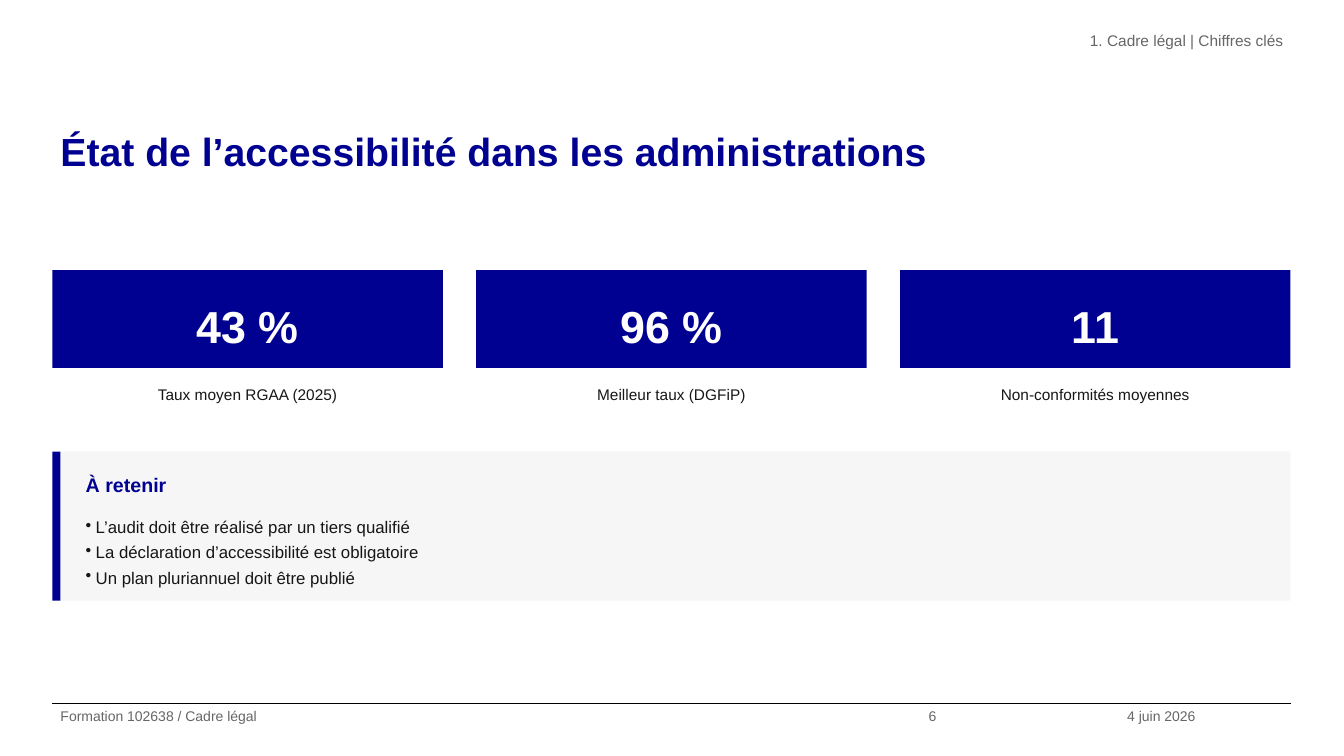
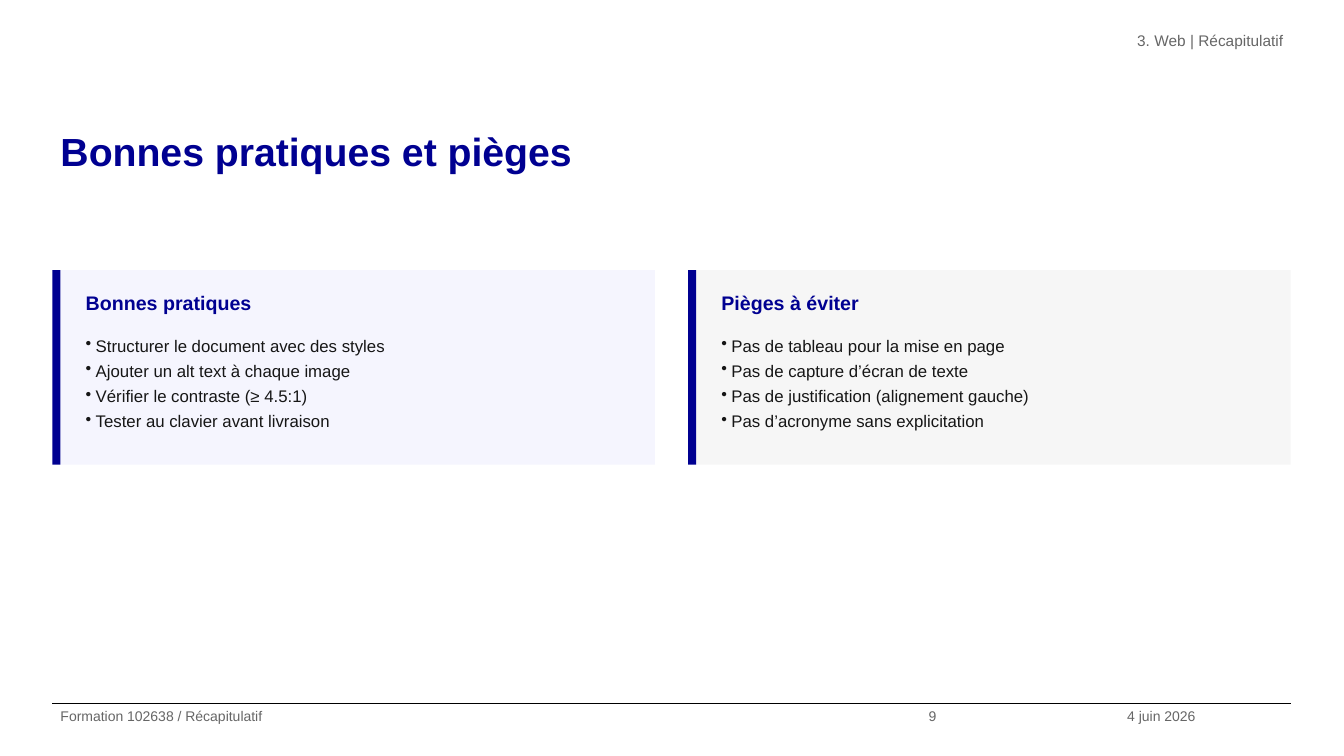
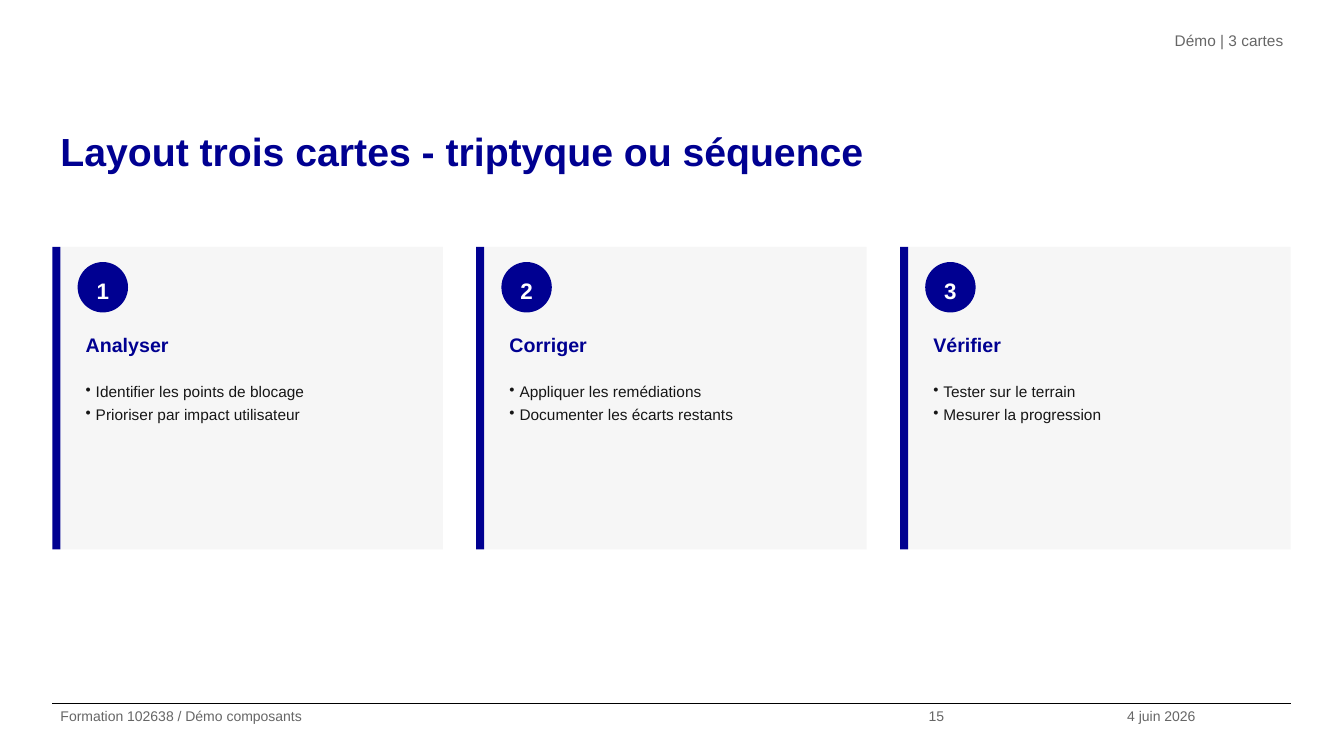
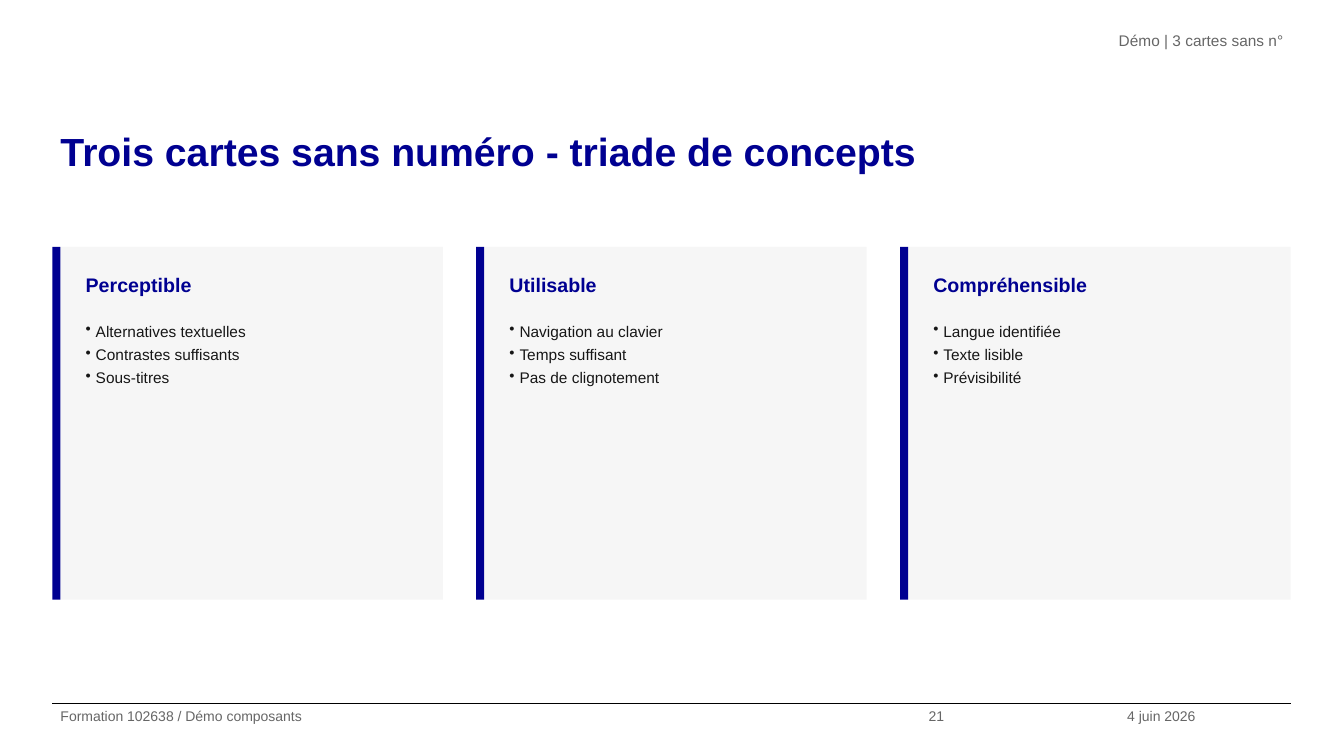
from collections.abc import Sequence
from dataclasses import dataclass

from lxml import etree
from pptx import Presentation
from pptx.dml.color import RGBColor
from pptx.enum.shapes import MSO_CONNECTOR, MSO_SHAPE
from pptx.enum.text import MSO_ANCHOR, PP_ALIGN
from pptx.oxml.ns import qn
from pptx.shapes.autoshape import Shape
from pptx.slide import Slide
from pptx.text.text import _Paragraph as Paragraph
from pptx.util import Inches, Pt

RECTANGLE, OVAL = MSO_SHAPE.RECTANGLE, MSO_SHAPE.OVAL
STRAIGHT = MSO_CONNECTOR.STRAIGHT
TOP, MIDDLE = MSO_ANCHOR.TOP, MSO_ANCHOR.MIDDLE
LEFT, CENTER, RIGHT = PP_ALIGN.LEFT, PP_ALIGN.CENTER, PP_ALIGN.RIGHT

COLORS = {
    "blue": "000091",
    "ink": "161616",
    "muted": "666666",
    "gray": "F6F6F6",
    "pale_blue": "F5F5FE",
    "white": "FFFFFF",
    "black": "000000",
}
FONT = "Arial"
LINE_SPACING = 1.25

CONTENT_LEFT, CONTENT_WIDTH = 0.52, 12.28
GAP = 0.33
FOOTER_TOP, FOOTER_HEIGHT = 6.98, 0.52
DATE = "4 juin 2026"
BAR_WIDTH = 0.08
CARD_INDENT = 0.25
BADGE_SIZE, BADGE_GAP = 0.5, 0.1
BULLET_INDENT = 0.1


@dataclass(frozen=True)
class Box:
    left: float
    top: float
    width: float
    height: float


@dataclass(frozen=True)
class TextStyle:
    size: int
    color: str
    bold: bool = False
    align: PP_ALIGN = LEFT
    bulleted: bool = False


@dataclass(frozen=True)
class CardStyle:
    padding: float
    heading_height: float
    items: TextStyle


@dataclass(frozen=True)
class Card:
    heading: str
    items: tuple[str, ...]
    fill: str = "gray"
    number: str = ""


@dataclass(frozen=True)
class KeyFigure:
    value: str
    label: str


TITLE = TextStyle(28, "blue", bold=True)
BREADCRUMB = TextStyle(11, "muted", align=RIGHT)
FOOTER = TextStyle(10, "muted")
FIGURE_VALUE = TextStyle(32, "white", bold=True, align=CENTER)
FIGURE_LABEL = TextStyle(11, "ink", align=CENTER)
BADGE = TextStyle(16, "white", bold=True, align=CENTER)
CARD_HEADING = TextStyle(14, "blue", bold=True)
WIDE_CARD = CardStyle(0.1, 0.4, TextStyle(12, "ink", bulleted=True))
NARROW_CARD = CardStyle(0.15, 0.45, TextStyle(11, "ink", bulleted=True))

KEY_FIGURES = (
    KeyFigure("43 %", "Taux moyen RGAA (2025)"),
    KeyFigure("96 %", "Meilleur taux (DGFiP)"),
    KeyFigure("11", "Non-conformités moyennes"),
)
TAKEAWAYS = (
    Card("À retenir", (
        "L’audit doit être réalisé par un tiers qualifié",
        "La déclaration d’accessibilité est obligatoire",
        "Un plan pluriannuel doit être publié",
    )),
)
PRACTICES = (
    Card("Bonnes pratiques", (
        "Structurer le document avec des styles",
        "Ajouter un alt text à chaque image",
        "Vérifier le contraste (≥ 4.5:1)",
        "Tester au clavier avant livraison",
    ), fill="pale_blue"),
    Card("Pièges à éviter", (
        "Pas de tableau pour la mise en page",
        "Pas de capture d’écran de texte",
        "Pas de justification (alignement gauche)",
        "Pas d’acronyme sans explicitation",
    )),
)
STEPS = (
    Card("Analyser", (
        "Identifier les points de blocage",
        "Prioriser par impact utilisateur",
    ), number="1"),
    Card("Corriger", (
        "Appliquer les remédiations",
        "Documenter les écarts restants",
    ), number="2"),
    Card("Vérifier", (
        "Tester sur le terrain",
        "Mesurer la progression",
    ), number="3"),
)
CONCEPTS = (
    Card("Perceptible", (
        "Alternatives textuelles", "Contrastes suffisants", "Sous-titres",
    )),
    Card("Utilisable", (
        "Navigation au clavier", "Temps suffisant", "Pas de clignotement",
    )),
    Card("Compréhensible", (
        "Langue identifiée", "Texte lisible", "Prévisibilité",
    )),
)


def rgb(name: str) -> RGBColor:
    return RGBColor.from_string(COLORS[name])


def lengths(box: Box) -> tuple[Inches, ...]:
    return tuple(Inches(v) for v in (box.left, box.top, box.width, box.height))


def columns(count: int, top: float, height: float) -> list[Box]:
    """Split the content width into equal boxes."""
    width = (CONTENT_WIDTH - GAP * (count - 1)) / count
    return [
        Box(CONTENT_LEFT + i * (width + GAP), top, width, height)
        for i in range(count)
    ]


def add_bullet(paragraph: Paragraph) -> None:
    properties = paragraph._p.get_or_add_pPr()
    properties.set("marL", str(Inches(BULLET_INDENT)))
    properties.set("indent", str(-Inches(BULLET_INDENT)))
    etree.SubElement(properties, qn("a:buChar")).set("char", "•")


def write(shape: Shape, lines: Sequence[str], style: TextStyle,
          inset: float = 0.05, anchor: MSO_ANCHOR = TOP) -> None:
    frame = shape.text_frame
    frame.word_wrap = True
    frame.vertical_anchor = anchor
    frame.margin_left = frame.margin_right = Inches(0.08)
    frame.margin_top = frame.margin_bottom = Inches(inset)
    for index, line in enumerate(lines):
        paragraph = frame.add_paragraph() if index else frame.paragraphs[0]
        if style.bulleted:
            add_bullet(paragraph)
        paragraph.alignment = style.align
        paragraph.line_spacing = LINE_SPACING
        run = paragraph.add_run()
        run.text = line
        run.font.name = FONT
        run.font.size = Pt(style.size)
        run.font.bold = style.bold
        run.font.color.rgb = rgb(style.color)


def add_text(slide: Slide, box: Box, lines: Sequence[str], style: TextStyle,
             inset: float = 0.05) -> None:
    write(slide.shapes.add_textbox(*lengths(box)), lines, style, inset)


def add_filled(slide: Slide, box: Box, fill: str,
               kind: MSO_SHAPE = RECTANGLE) -> Shape:
    shape = slide.shapes.add_shape(kind, *lengths(box))
    shape.shadow.inherit = False
    shape.fill.solid()
    shape.fill.fore_color.rgb = rgb(fill)
    shape.line.fill.background()
    return shape


def add_footer_rule(slide: Slide) -> None:
    y = Inches(FOOTER_TOP)
    rule = slide.shapes.add_connector(
        STRAIGHT, Inches(CONTENT_LEFT), y,
        Inches(CONTENT_LEFT + CONTENT_WIDTH), y)
    rule.line.color.rgb = rgb("black")
    rule.line.width = Pt(0.8)
    etree.SubElement(rule._element.spPr, qn("a:effectLst"))


def add_base_slide(presentation: Presentation, title: str, breadcrumb: str,
                   section: str, number: int) -> Slide:
    """Add a slide with its title, breadcrumb and footer."""
    slide = presentation.slides.add_slide(presentation.slide_layouts[6])
    add_footer_rule(slide)
    add_text(slide, Box(CONTENT_LEFT, 1.15, CONTENT_WIDTH, 1.05), [title],
             TITLE, inset=0)
    add_text(slide, Box(4.83, 0.26, 7.98, 0.52), [breadcrumb], BREADCRUMB,
             inset=0)
    for left, width, text in (
        (CONTENT_LEFT, 8.61, f"Formation 102638 / {section}"),
        (9.13, 1.97, str(number)),
        (11.1, 1.71, DATE),
    ):
        add_text(slide, Box(left, FOOTER_TOP, width, FOOTER_HEIGHT), [text],
                 FOOTER, inset=0)
    return slide


def add_card(slide: Slide, box: Box, card: Card, style: CardStyle) -> None:
    add_filled(slide, Box(box.left + BAR_WIDTH, box.top,
                          box.width - BAR_WIDTH, box.height), card.fill)
    add_filled(slide, Box(box.left, box.top, BAR_WIDTH, box.height), "blue")
    left = box.left + CARD_INDENT
    width = box.width - CARD_INDENT - style.padding
    top = box.top + style.padding
    if card.number:
        badge = add_filled(slide, Box(left, top, BADGE_SIZE, BADGE_SIZE),
                           "blue", OVAL)
        write(badge, [card.number], BADGE, anchor=MIDDLE)
        top += BADGE_SIZE + BADGE_GAP
    add_text(slide, Box(left, top, width, style.heading_height),
             [card.heading], CARD_HEADING)
    top += style.heading_height + 0.05
    height = box.top + box.height - style.padding - top
    add_text(slide, Box(left, top, width, height), card.items, style.items)


def add_cards(slide: Slide, cards: Sequence[Card], style: CardStyle,
              top: float, height: float) -> None:
    for box, card in zip(columns(len(cards), top, height), cards):
        add_card(slide, box, card, style)


def add_key_figures(slide: Slide, figures: Sequence[KeyFigure]) -> None:
    for box, figure in zip(columns(len(figures), 2.68, 0.97), figures):
        write(add_filled(slide, box, "blue"), [figure.value], FIGURE_VALUE,
              anchor=MIDDLE)
        label = Box(box.left, box.top + box.height + 0.08, box.width, 0.45)
        add_text(slide, label, [figure.label], FIGURE_LABEL)


def main() -> None:
    presentation = Presentation()
    presentation.slide_width = Inches(13.33)
    presentation.slide_height = Inches(7.5)

    slide = add_base_slide(
        presentation, "État de l’accessibilité dans les administrations",
        "1. Cadre légal | Chiffres clés", "Cadre légal", 6)
    add_key_figures(slide, KEY_FIGURES)
    add_cards(slide, TAKEAWAYS, WIDE_CARD, 4.48, 1.48)

    slide = add_base_slide(
        presentation, "Bonnes pratiques et pièges",
        "3. Web | Récapitulatif", "Récapitulatif", 9)
    add_cards(slide, PRACTICES, WIDE_CARD, 2.68, 1.93)

    slide = add_base_slide(
        presentation, "Layout trois cartes - triptyque ou séquence",
        "Démo | 3 cartes", "Démo composants", 15)
    add_cards(slide, STEPS, NARROW_CARD, 2.45, 3)

    slide = add_base_slide(
        presentation, "Trois cartes sans numéro - triade de concepts",
        "Démo | 3 cartes sans n°", "Démo composants", 21)
    add_cards(slide, CONCEPTS, NARROW_CARD, 2.45, 3.5)

    presentation.save("out.pptx")


if __name__ == "__main__":
    main()
